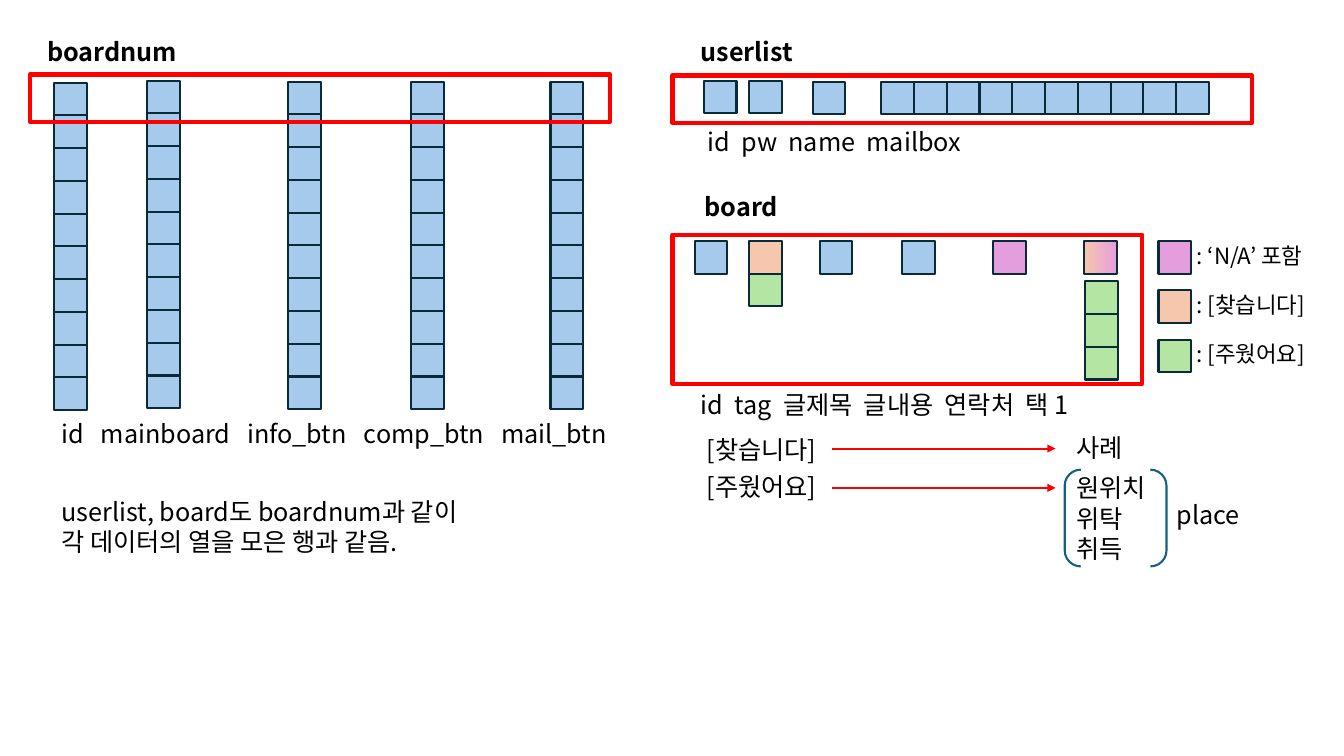
"""Build a slide that maps the boardnum, userlist and board lists as rows of cells."""
from lxml.etree import SubElement
from pptx import Presentation
from pptx.dml.color import RGBColor
from pptx.enum.shapes import MSO_CONNECTOR, MSO_SHAPE
from pptx.enum.text import MSO_AUTO_SIZE
from pptx.oxml.ns import qn
from pptx.util import Inches, Pt

FONT = "Noto Sans CJK KR"
COLORS = {
    "blue": "A6CAEC", "green": "B4E5A2", "peach": "F6C6AD", "pink": "E59EDD",
    "edge": "092A39", "frame": "FF0000", "bracket": "156082", "text": "000000",
}
CELL = 0.325
TOP, BOARD_TOP, LEGEND_STEP = 0.81, 2.39, 0.49
LEGEND_X, LEGEND_TEXT_X = 11.49, 11.77
CASE_X = 10.58
ARROW_X = (8.25, 10.47)
ARROW_ROWS = (4.45, 4.84)

BOARDNUM_COLUMNS = [(0.54, 0.82), (4.08, TOP), (2.86, TOP), (5.46, TOP), (1.46, 0.8)]
BOARDNUM_ROWS = 10
USERLIST_FIELDS = [(6.98, 0.8), (7.43, 0.8), (8.06, TOP)]
MAILBOX_X, MAILBOX_CELLS = 8.74, 10
BOARD_COLUMNS = [
    (6.89, BOARD_TOP, ["blue"]),
    (7.43, BOARD_TOP, ["peach", "green"]),
    (8.13, BOARD_TOP, ["blue"]),
    (8.95, BOARD_TOP, ["blue"]),
    (9.85, BOARD_TOP, ["pink"]),
    (10.76, 2.79, ["green"] * 3),
]
CHOICE_CELL = (10.75, BOARD_TOP, ("peach", "pink"))
LEGEND = [("pink", ": ‘N/A’ 포함"), ("peach", ": [찾습니다]"), ("green", ": [주웠어요]")]

FRAMES = [(0.3, 0.74, 5.75, 0.47), (6.67, 0.75, 5.75, 0.47), (6.67, 2.33, 4.66, 1.48)]
BRACKET = (10.56, 4.66, 1.01, 0.96)
TITLES = [
    (0.37, 0.31, 2.65, 0.4, ["boardnum"]),
    (6.85, 0.31, 2.65, 0.4, ["userlist"]),
    (6.89, 1.85, 2.65, 0.4, ["board"]),
]
LABELS = [
    (0.51, 4.1, 5.75, 0.4, ["id   mainboard   info_btn   comp_btn   mail_btn"]),
    (6.92, 1.2, 4.05, 0.4, ["id  pw  name  mailbox"]),
    (6.85, 3.81, 4.48, 0.4, ["id  tag  글제목  글내용  연락처  택 1"]),
    (CASE_X, 4.24, 1.36, 0.4, ["사례"]),
    (CASE_X, 4.64, 1.07, 1.01, ["원위치", "위탁", "취득"]),
    (11.57, 4.9, 1.36, 0.4, ["place"]),
    (0.51, 4.87, 4.2, 0.71, ["userlist, board도 boardnum과 같이", "각 데이터의 열을 모은 행과 같음."]),
]
TAGS = (6.91, 4.26, 1.36, 0.77, ["[찾습니다]", "[주웠어요]"])


def rgb(name):
    return RGBColor.from_string(COLORS[name])


def add_shape(s, kind, box, line, width):
    sp = s.shapes.add_shape(kind, *map(Inches, box))
    sp.shadow.inherit = False
    sp.fill.background()
    sp.line.color.rgb = rgb(line)
    sp.line.width = Pt(width)
    return sp


def add_cell(s, x, y, color):
    sp = add_shape(s, MSO_SHAPE.RECTANGLE, (x, y, CELL, CELL), "edge", 1.5)
    if isinstance(color, tuple):
        sp.fill.gradient()
        sp.fill.gradient_angle = 0
        for stop, name in zip(sp.fill.gradient_stops, color):
            stop.color.rgb = rgb(name)
    else:
        sp.fill.solid()
        sp.fill.fore_color.rgb = rgb(color)


def add_cells(s, x, y, colors, across=False):
    for i, color in enumerate(colors):
        step = i * CELL
        add_cell(s, x + step * across, y + step * (not across), color)


def add_text(s, x, y, w, h, lines, size=18, bold=False, gap=0):
    tf = s.shapes.add_textbox(*map(Inches, (x, y, w, h))).text_frame
    tf.word_wrap = True
    tf.auto_size = MSO_AUTO_SIZE.SHAPE_TO_FIT_TEXT
    for i, line in enumerate(lines):
        p = tf.paragraphs[0] if i == 0 else tf.add_paragraph()
        r = p.add_run()
        r.text = line
        p.space_before = Pt(gap if i else 0)
        r.font.name, r.font.size, r.font.bold = FONT, Pt(size), bold
        r.font.color.rgb = rgb("text")
        SubElement(r.font._element, qn("a:ea"), typeface=FONT)


def add_arrow(s, y):
    x1, x2 = ARROW_X
    c = s.shapes.add_connector(MSO_CONNECTOR.STRAIGHT, *map(Inches, (x1, y, x2, y)))
    c.line.color.rgb = rgb("frame")
    c.line.width = Pt(1.5)
    SubElement(c.line._get_or_add_ln(), qn("a:tailEnd"), type="triangle")
    SubElement(c._element.spPr, qn("a:effectLst"))


def main():
    prs = Presentation()
    prs.slide_width, prs.slide_height = Inches(13.33), Inches(7.5)
    s = prs.slides.add_slide(prs.slide_layouts[6])

    for x, y in BOARDNUM_COLUMNS:
        add_cells(s, x, y, ["blue"] * BOARDNUM_ROWS)
    for x, y in USERLIST_FIELDS:
        add_cell(s, x, y, "blue")
    add_cells(s, MAILBOX_X, TOP, ["blue"] * MAILBOX_CELLS, across=True)
    for x, y, colors in BOARD_COLUMNS:
        add_cells(s, x, y, colors)
    add_cell(s, *CHOICE_CELL)

    for title in TITLES:
        add_text(s, *title, bold=True)
    for label in LABELS:
        add_text(s, *label)
    add_text(s, *TAGS, gap=5)
    for y in ARROW_ROWS:
        add_arrow(s, y)
    add_shape(s, MSO_SHAPE.DOUBLE_BRACKET, BRACKET, "bracket", 1.5)
    for frame in FRAMES:
        add_shape(s, MSO_SHAPE.RECTANGLE, frame, "frame", 3)

    for i, (color, meaning) in enumerate(LEGEND):
        y = BOARD_TOP + i * LEGEND_STEP
        add_cell(s, LEGEND_X, y, color)
        add_text(s, LEGEND_TEXT_X, y - 0.04, 1.36, 0.37, [meaning], size=16)
    prs.save("out.pptx")


if __name__ == "__main__":
    main()
